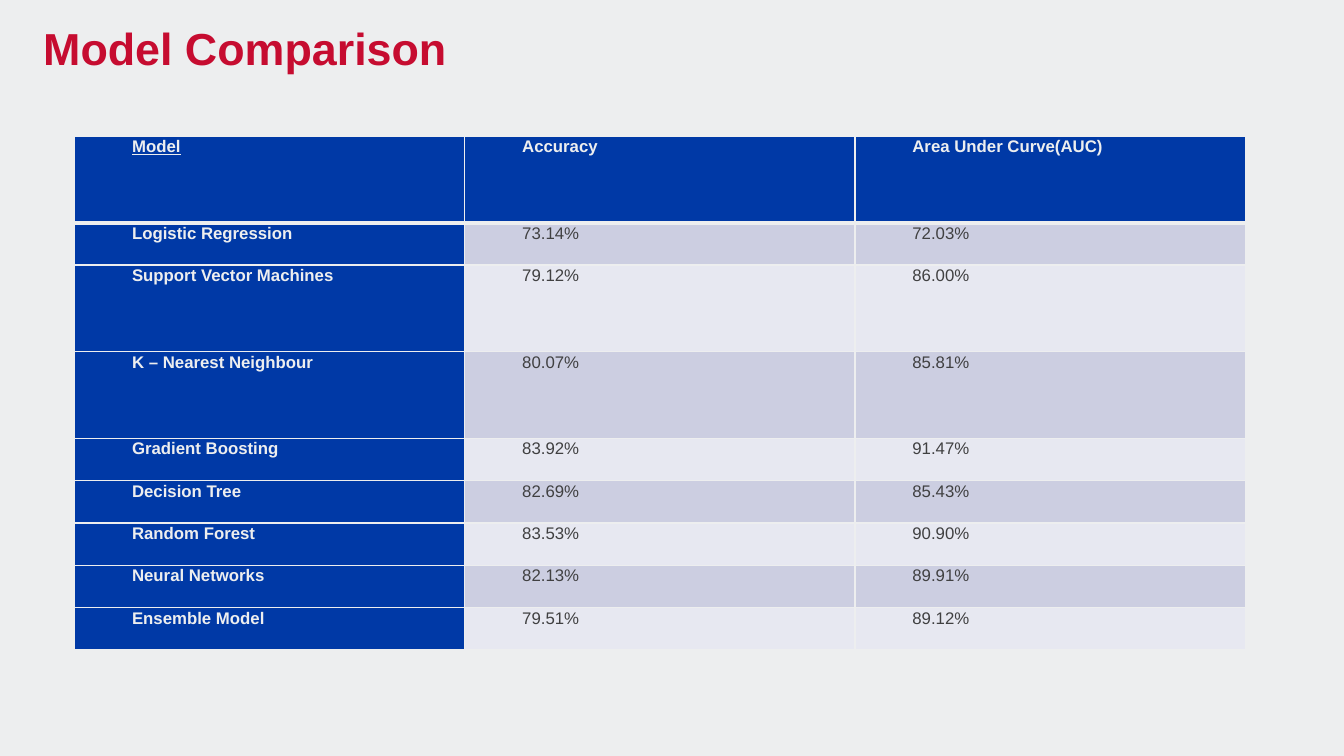
from dataclasses import dataclass
from typing import Any

from lxml import etree
from pptx import Presentation
from pptx.dml.color import RGBColor
from pptx.enum import text
from pptx.oxml import ns
from pptx.util import Inches, Pt


@dataclass(frozen=True)
class Theme:
    """Hold the colours, font and type sizes of the slide."""
    back: str = "EDEEEF"
    red: str = "C60C30"
    blue: str = "0039A6"
    ink: str = "404041"
    bands: tuple[str, str] = ("CCCEE1", "E7E8F1")
    font: str = "Arial"
    title: int = 32
    body: int = 12


@dataclass(frozen=True)
class Row:
    """Describe one row of the model table."""
    model: str
    score: str
    area: str
    tall: bool = False


THEME = Theme()
ROWS = [
    Row("Model", "Accuracy", "Area Under Curve(AUC)", True),
    Row("Logistic Regression", "73.14%", "72.03%"),
    Row("Support Vector Machines", "79.12%", "86.00%", True),
    Row("K – Nearest Neighbour", "80.07%", "85.81%", True),
    Row("Gradient Boosting", "83.92%", "91.47%"),
    Row("Decision Tree", "82.69%", "85.43%"),
    Row("Random Forest", "83.53%", "90.90%"),
    Row("Neural Networks", "82.13%", "89.91%"),
    Row("Ensemble Model", "79.51%", "89.12%"),
]
COLS = 3
WIDTH = 3.87
SHORT, TALL = 0.42, 0.86


def apply(item: Any, values: dict[str, Any]) -> None:
    """Set each named value on the item."""
    for name, value in values.items():
        setattr(item, name, value)


def style(para: Any, color: str, size: int, **extra: Any) -> None:
    """Set the font of a paragraph's first run."""
    font = para.runs[0].font
    apply(font, {"name": THEME.font, "size": Pt(size), **extra})
    font.color.rgb = RGBColor.from_string(color)


def paint(item: Any, color: str) -> None:
    """Give the item a solid fill."""
    item.fill.solid()
    item.fill.fore_color.rgb = RGBColor.from_string(color)


def edge(cell: Any, sizes: dict[str, int]) -> None:
    """Draw the cell borders, with widths in points."""
    props = cell._tc.get_or_add_tcPr()
    for spot, (side, size) in enumerate(sizes.items()):
        line = etree.Element(ns.qn(f"a:ln{side}"), w=str(Pt(size)))
        fill = etree.SubElement(line, ns.qn("a:solidFill"))
        etree.SubElement(fill, ns.qn("a:srgbClr"), val=THEME.back)
        props.insert(spot, line)


def write(cell: Any, words: str, row: int, col: int) -> None:
    """Fill one table cell with its text and format."""
    head = row == 0 or col == 0
    apply(cell, {"text": words, "margin_left": Inches(0.07),
                 "margin_right": Inches(0.07),
                 "margin_top": 0, "margin_bottom": 0})
    para = cell.text_frame.paragraphs[0]
    apply(para, {"alignment": text.PP_ALIGN.JUSTIFY, "line_spacing": 1.07})
    if col == COLS - 1:
        para.space_after = Pt(8)
    indent = para._p.get_or_add_pPr()
    indent.set("marL", str(Inches(0.5)))
    indent.set("indent", "0")
    style(para, THEME.back if head else THEME.ink, THEME.body,
          bold=head, underline=row == col == 0)
    paint(cell, THEME.blue if head else THEME.bands[(row - 1) % 2])
    edge(cell, {"L": 1, "R": 1, "T": 3 if row == 1 else 1,
                "B": 3 if row == 0 else 1})


def title(slide: Any, words: str) -> None:
    """Add the slide title."""
    box = slide.shapes.add_textbox(
        Inches(0.33), Inches(0.16), Inches(7.15), Inches(0.64))
    frame = box.text_frame
    apply(frame, {"text": words, "word_wrap": True,
                  "auto_size": text.MSO_AUTO_SIZE.SHAPE_TO_FIT_TEXT})
    style(frame.paragraphs[0], THEME.red, THEME.title, bold=True)


def grid(slide: Any, rows: list[Row]) -> None:
    """Add the table of models and their scores."""
    highs = [TALL if row.tall else SHORT for row in rows]
    table = slide.shapes.add_table(
        len(rows), COLS, Inches(0.74), Inches(1.35),
        Inches(COLS * WIDTH), Inches(sum(highs))).table
    apply(table, {"first_col": True, "first_row": True})
    for column in table.columns:
        column.width = Inches(WIDTH)
    for num, (row, high) in enumerate(zip(rows, highs)):
        table.rows[num].height = Inches(high)
        for col, words in enumerate((row.model, row.score, row.area)):
            write(table.cell(num, col), words, num, col)


def main() -> None:
    """Build and save the slide."""
    deck = Presentation()
    apply(deck, {"slide_width": Inches(13.33), "slide_height": Inches(7.5)})
    slide = deck.slides.add_slide(deck.slide_layouts[6])
    paint(slide.background, THEME.back)
    title(slide, "Model Comparison")
    grid(slide, ROWS)
    deck.save("out.pptx")


if __name__ == "__main__":
    main()
